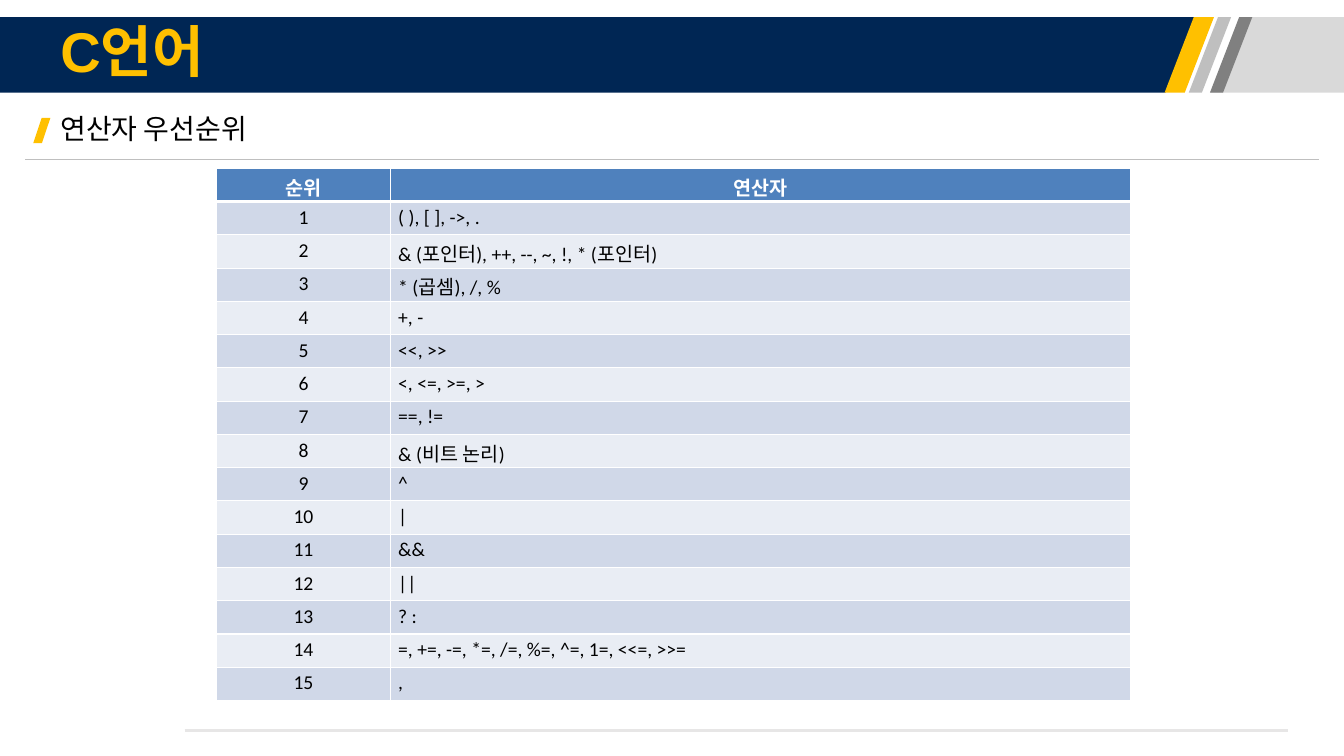
from dataclasses import dataclass

from lxml import etree
from pptx import Presentation
from pptx.dml.color import RGBColor
from pptx.enum import shapes, text
from pptx.oxml import ns
from pptx.util import Inches, Pt


@dataclass(frozen=True)
class Theme:
    navy: str = "002654"
    amber: str = "FFC000"
    pale_gray: str = "D9D9D9"
    silver: str = "BFBFBF"
    gray: str = "808080"
    footer: str = "E7E6E6"
    header: str = "4F81BD"
    bands: tuple = ("D0D8E8", "E9EDF4")
    ink: str = "000000"
    white: str = "FFFFFF"
    heading_font: str = "Arial"
    body_font: str = "Calibri"
    title_size: int = 40
    subtitle_size: int = 20
    table_size: int = 14


class SlideBuilder:
    def __init__(self, slide, theme):
        self.shapes = slide.shapes
        self.theme = theme

    def _paint(self, shape, color):
        shape.shadow.inherit = False
        shape.fill.solid()
        shape.fill.fore_color.rgb = RGBColor.from_string(color)
        shape.line.fill.background()

    def _style(self, paragraph, font_name, size, color, bold=False):
        font = paragraph.font
        font.name, font.size, font.bold = font_name, Pt(size), bold
        font.color.rgb = RGBColor.from_string(color)

    def polygon(self, points, color):
        corners = [(Inches(x), Inches(y)) for x, y in points]
        builder = self.shapes.build_freeform(*corners[0], scale=1.0)
        builder.add_line_segments(corners[1:], close=True)
        self._paint(builder.convert_to_shape(), color)

    def slanted_marker(self, left, top, width, height, color):
        marker = self.shapes.add_shape(
            shapes.MSO_SHAPE.PARALLELOGRAM,
            Inches(left), Inches(top), Inches(width), Inches(height))
        marker.adjustments[0] = 0.495
        self._paint(marker, color)

    def rule(self, left, right, y, color, width):
        rule = self.shapes.add_connector(
            shapes.MSO_CONNECTOR.STRAIGHT,
            Inches(left), Inches(y), Inches(right), Inches(y))
        rule.line.color.rgb = RGBColor.from_string(color)
        rule.line.width = Pt(width)
        etree.SubElement(rule._element.spPr, ns.qn("a:effectLst"))

    def heading(self, words, left, top, width, height, *style):
        frame = self.shapes.add_textbox(
            Inches(left), Inches(top), Inches(width), Inches(height)).text_frame
        frame.word_wrap = True
        frame.vertical_anchor = text.MSO_ANCHOR.MIDDLE
        paragraph = frame.paragraphs[0]
        paragraph.text = words
        paragraph.line_spacing = 0.9
        paragraph.space_after = Pt(6)
        self._style(paragraph, *style)

    def _border(self, cell, bottom_width):
        """Draw white cell edges; they must precede the fill in the XML."""
        properties = cell._tc.get_or_add_tcPr()
        widths = {"lnL": 1, "lnR": 1, "lnT": 1, "lnB": bottom_width}
        for position, (edge, width) in enumerate(widths.items()):
            line = etree.Element(ns.qn(f"a:{edge}"), w=str(Pt(width)))
            fill = etree.SubElement(line, ns.qn("a:solidFill"))
            etree.SubElement(fill, ns.qn("a:srgbClr"), val=self.theme.white)
            properties.insert(position, line)

    def table(self, rows, left, top, column_widths, row_height):
        theme = self.theme
        grid = self.shapes.add_table(
            len(rows), len(column_widths), Inches(left), Inches(top),
            Inches(sum(column_widths)), Inches(row_height * len(rows))).table
        for column, width in zip(grid.columns, column_widths):
            column.width = Inches(width)
        for r, values in enumerate(rows):
            is_header = r == 0
            for c, value in enumerate(values):
                cell = grid.cell(r, c)
                cell.margin_left = cell.margin_right = Inches(0.08)
                cell.margin_top = cell.margin_bottom = Inches(0.04)
                cell.fill.solid()
                cell.fill.fore_color.rgb = RGBColor.from_string(
                    theme.header if is_header else theme.bands[(r - 1) % 2])
                # Edges below the header are shared with the first body row.
                self._border(cell, 3 if is_header else 1)
                paragraph = cell.text_frame.paragraphs[0]
                paragraph.text = value
                if is_header or c == 0:
                    paragraph.alignment = text.PP_ALIGN.CENTER
                self._style(paragraph, theme.body_font, theme.table_size,
                            theme.white if is_header else theme.ink, is_header)


OPERATORS = [
    "( ), [ ], ->, .",
    "& (포인터), ++, --, ~, !, * (포인터)",
    "* (곱셈), /, %",
    "+, -",
    "<<, >>",
    "<, <=, >=, >",
    "==, !=",
    "& (비트 논리)",
    "^",
    "|",
    "&&",
    "||",
    "? :",
    "=, +=, -=, *=, /=, %=, ^=, 1=, <<=, >>=",
    ",",
]
BANNER_TOP, BANNER_BOTTOM, SLANT = 0.17, 0.92, 0.29
SLIDE_WIDTH = 13.33


def draw_banner(builder, theme):
    def band(top_left, top_right, bottom_left, bottom_right, color):
        builder.polygon([(top_left, BANNER_TOP), (top_right, BANNER_TOP),
                         (bottom_right, BANNER_BOTTOM),
                         (bottom_left, BANNER_BOTTOM)], color)

    band(0, 11.85, 0, 11.85 - SLANT, theme.navy)
    band(12.3, SLIDE_WIDTH, 12.3 - SLANT, SLIDE_WIDTH, theme.pale_gray)
    for left, width, color in [(12.08, 0.13, theme.silver),
                               (12.29, 0.13, theme.gray),
                               (11.84, 0.2, theme.amber)]:
        right = left + width
        band(left, right, left - SLANT, right - SLANT, color)


def main():
    theme = Theme()
    deck = Presentation()
    deck.slide_width, deck.slide_height = Inches(SLIDE_WIDTH), Inches(7.5)
    builder = SlideBuilder(deck.slides.add_slide(deck.slide_layouts[6]), theme)

    builder.rule(1.83, 12.77, 7.25, theme.footer, 2.28)
    draw_banner(builder, theme)
    builder.slanted_marker(0.33, 1.17, 0.17, 0.25, theme.amber)
    builder.rule(0.25, 13.08, 1.58, theme.silver, 0.75)
    builder.heading("연산자 우선순위", 0.5, 1.08, 12.36, 0.43,
                    theme.body_font, theme.subtitle_size, theme.ink)
    builder.heading("C언어", 0.5, 0.17, 9.24, 0.74,
                    theme.heading_font, theme.title_size, theme.amber, True)

    ranking = [(str(rank), operators)
               for rank, operators in enumerate(OPERATORS, start=1)]
    builder.table([("순위", "연산자"), *ranking], 2.15, 1.67, (1.72, 7.34), 0.33)
    deck.save("out.pptx")


if __name__ == "__main__":
    main()
